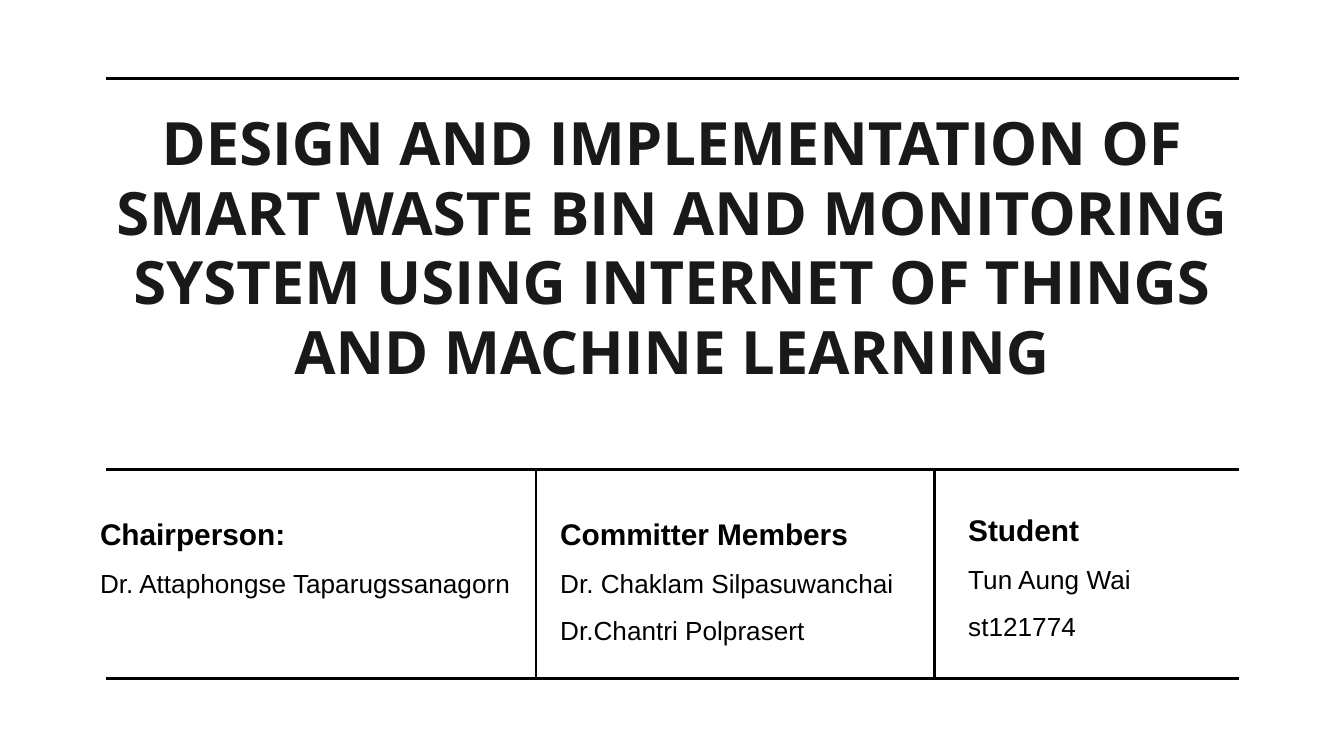
from lxml.etree import SubElement
from pptx import Presentation
from pptx.dml.color import RGBColor
from pptx.enum.text import MSO_ANCHOR, PP_ALIGN
from pptx.oxml.ns import qn
from pptx.util import Pt

# Content
TITLE = ("DESIGN AND IMPLEMENTATION OF SMART WASTE BIN AND MONITORING "
         "SYSTEM USING INTERNET OF THINGS AND MACHINE LEARNING")
PEOPLE = [  # heading, names, box (left, top, width, height)
    ("Chairperson:", ["Dr. Attaphongse Taparugssanagorn"],
     (46.5, 263.1, 245.5, 58.3)),
    ("Committer Members", ["Dr. Chaklam Silpasuwanchai", "Dr.Chantri Polprasert"],
     (293, 263.1, 212.4, 84.2)),
    ("Student", ["Tun Aung Wai", "st121774"],
     (511.6, 261, 145.4, 84.2)),
]

# Theme and layout, in points
THEME = {
    "title": {"name": "Open Sans", "size": Pt(32), "bold": True, "color": "191919"},
    "heading": {"name": "Arial", "size": Pt(16), "bold": True, "color": "000000"},
    "body": {"name": "Arial", "size": Pt(14), "bold": False, "color": "000000"},
    "rule": "000000",
}
LEFT, RIGHT = 56.7, 663.8
TOP, MIDDLE, BOTTOM = 42.2, 251.5, 363.6
DIVIDERS = [287.1, 500.6]
TITLE_BOX = (53.1, 51.8, 614.2, 216.7)


def add_rule(slide, *ends):
    line = slide.shapes.add_connector(1, *map(Pt, ends))
    line.line.color.rgb = RGBColor.from_string(THEME["rule"])
    line.line.width = Pt(1.5)
    SubElement(line._element.spPr, qn("a:effectLst"))


def add_text(slide, box, lines, spacing, align=PP_ALIGN.LEFT, inset=3.6):
    frame = slide.shapes.add_textbox(*map(Pt, box)).text_frame
    settings = {"word_wrap": True, "vertical_anchor": MSO_ANCHOR.TOP,
                "margin_top": Pt(inset), "margin_bottom": Pt(inset)}
    for name, value in settings.items():
        setattr(frame, name, value)
    for index, (text, style) in enumerate(lines):
        paragraph = frame.add_paragraph() if index else frame.paragraphs[0]
        paragraph.alignment = align
        paragraph.line_spacing = spacing
        run = paragraph.add_run()
        run.text = text
        for name, value in THEME[style].items():
            if name == "color":
                run.font.color.rgb = RGBColor.from_string(value)
            else:
                setattr(run.font, name, value)


presentation = Presentation()
presentation.slide_width, presentation.slide_height = Pt(720), Pt(405)
slide = presentation.slides.add_slide(presentation.slide_layouts[6])

# Horizontal rules and column dividers
for y in (TOP, MIDDLE, BOTTOM):
    add_rule(slide, LEFT, y, RIGHT, y)
for x in DIVIDERS:
    add_rule(slide, x, MIDDLE, x, BOTTOM + 0.7)

# Title
add_text(slide, TITLE_BOX, [(TITLE, "title")], 0.97, PP_ALIGN.CENTER, 7.2)

# People columns
for heading, names, box in PEOPLE:
    lines = [(heading, "heading")] + [(name, "body") for name in names]
    add_text(slide, box, lines, 1.5)

presentation.save("out.pptx")
